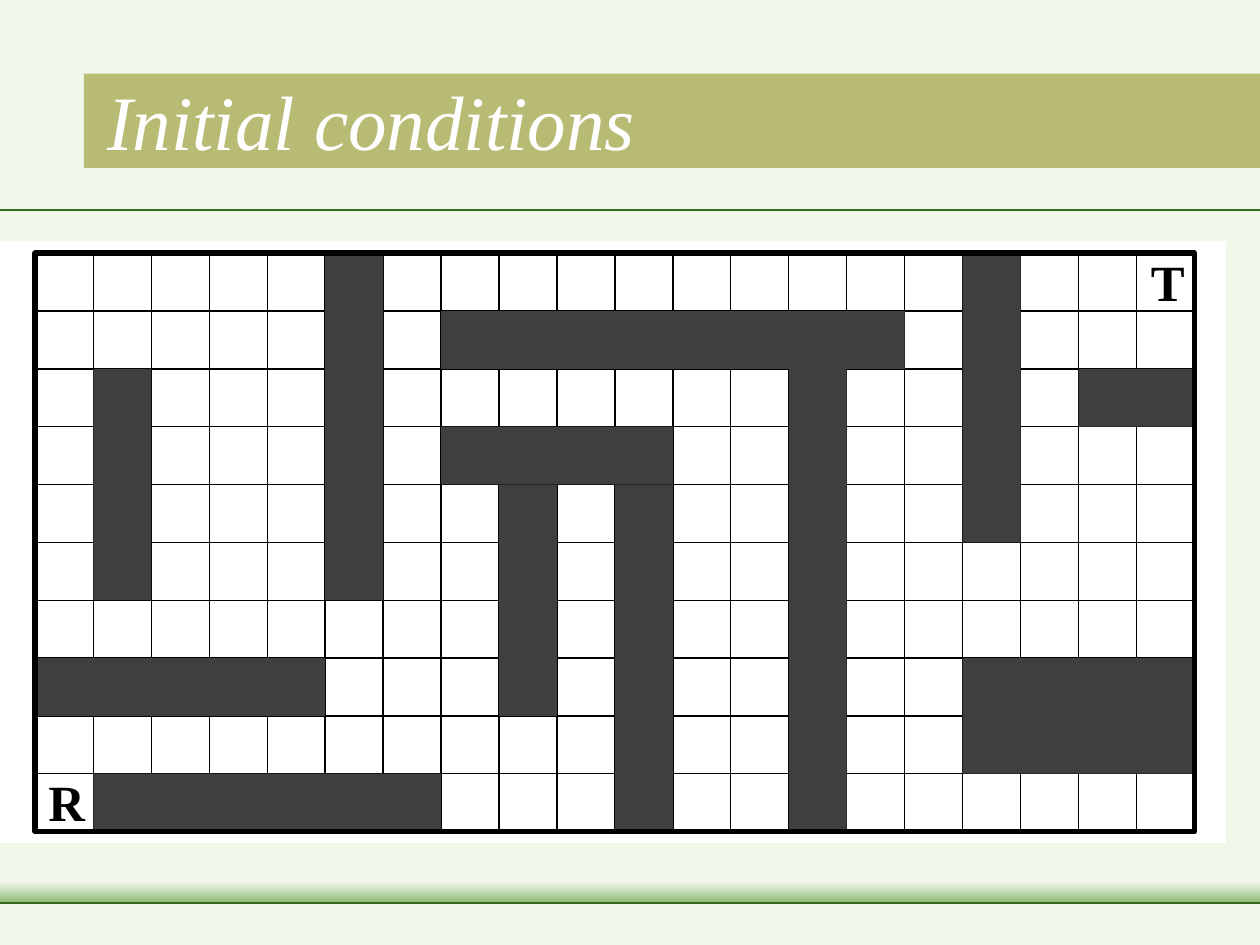
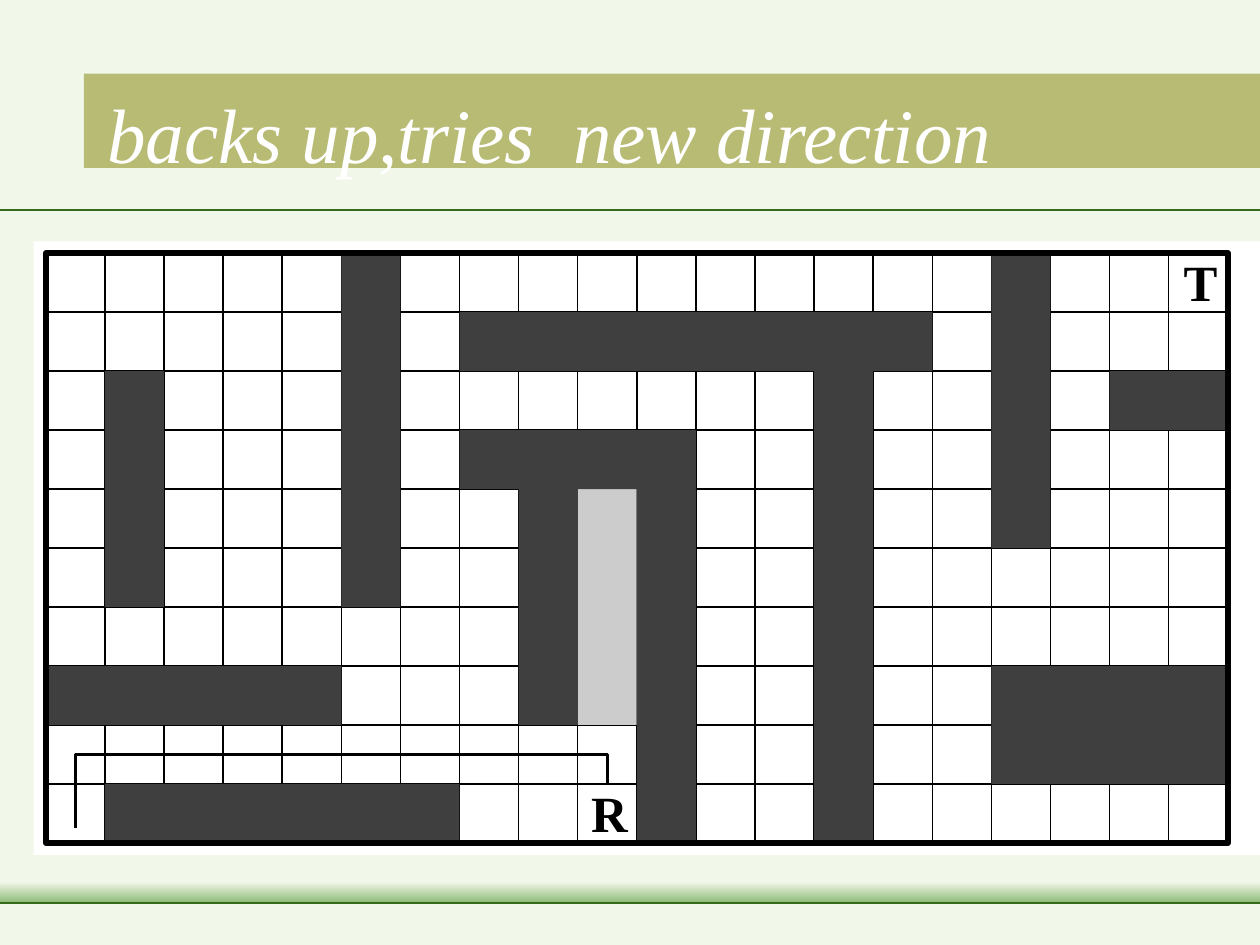
from lxml.etree import SubElement
from pptx import Presentation
from pptx.dml.color import RGBColor
from pptx.enum.shapes import MSO_CONNECTOR as Connector, MSO_SHAPE as Shape
from pptx.enum.text import MSO_ANCHOR as Anchor, MSO_AUTO_SIZE as AutoSize, PP_ALIGN as Align
from pptx.oxml.ns import qn
from pptx.util import Pt

FONT = "Times New Roman"
PAGE = "F1F7E9"
RULE = "366B1B"
GLOW = "8DBA76"
OLIVE = "808000"
WHITE = "FFFFFF"
BLACK = "000000"
WALL = "3F3F3F"
DEAD_END = "CCCCCC"

SLIDE_WIDTH = 720
COLUMNS, ROWS = 20, 10
TARGET = (19, 0)
WALLS = [
    (1, 2, 1, 4), (0, 7, 5, 1), (1, 9, 6, 1), (5, 0, 1, 6),
    (7, 3, 4, 1), (8, 4, 1, 4), (10, 4, 1, 6), (13, 2, 1, 8),
    (7, 1, 8, 1), (16, 0, 1, 5), (18, 2, 2, 1), (16, 7, 4, 2),
]


def color(hex_code):
    return RGBColor.from_string(hex_code)


def write(frame, text, size, hue, bold=False, italic=False, align=Align.LEFT,
          anchor=Anchor.MIDDLE, wrap=True, margins=(0, 0)):
    frame.auto_size = AutoSize.NONE
    frame.word_wrap = wrap
    frame.vertical_anchor = anchor
    frame.margin_left = frame.margin_right = Pt(margins[0])
    frame.margin_top = frame.margin_bottom = Pt(margins[1])
    paragraph = frame.paragraphs[0]
    paragraph.alignment = align
    run = paragraph.add_run()
    run.text = text
    run.font.name = FONT
    run.font.size = Pt(size)
    run.font.bold = bold
    run.font.italic = italic
    run.font.color.rgb = color(hue)


def draw_box(shapes, left, top, width, height, fill=None, outline=None, weight=0):
    box = shapes.add_shape(Shape.RECTANGLE, Pt(left), Pt(top), Pt(width), Pt(height))
    box.shadow.inherit = False
    if fill:
        box.fill.solid()
        box.fill.fore_color.rgb = color(fill)
    else:
        box.fill.background()
    if outline:
        box.line.color.rgb = color(outline)
        box.line.width = Pt(weight)
    else:
        box.line.fill.background()
    return box


def draw_line(shapes, x1, y1, x2, y2, hue, weight):
    line = shapes.add_connector(Connector.STRAIGHT, Pt(x1), Pt(y1), Pt(x2), Pt(y2))
    line.line.color.rgb = color(hue)
    line.line.width = Pt(weight)
    SubElement(line.element.spPr, qn("a:effectLst"))
    return line


def draw_route(shapes, points, weight):
    corners = [(Pt(x), Pt(y)) for x, y in points]
    builder = shapes.build_freeform(*corners[0])
    builder.add_line_segments(corners[1:], close=False)
    route = builder.convert_to_shape()
    route.shadow.inherit = False
    route.fill.background()
    route.line.color.rgb = color(BLACK)
    route.line.width = Pt(weight)


def decorate_layout(layout, slide):
    shapes = slide.shapes
    upper_rule = draw_line(shapes, 0, 120, SLIDE_WIDTH, 120, RULE, 1.5)
    glow = draw_box(shapes, 0, 504, SLIDE_WIDTH, 12)
    glow.fill.gradient()
    glow.fill.gradient_angle = 270
    for stop, hue in zip(glow.fill.gradient_stops, (PAGE, GLOW)):
        stop.color.rgb = color(hue)
    lower_rule = draw_line(shapes, 0, 516, SLIDE_WIDTH, 516, RULE, 1.5)
    title_band = draw_box(shapes, 48, 42, 672, 54, OLIVE)
    band_color = title_band.fill._xPr.find(qn("a:solidFill"))[0]
    SubElement(band_color, qn("a:alpha"), val="50000")
    for number, part in enumerate((upper_rule, glow, lower_rule, title_band)):
        part.element.xpath(".//p:cNvPr")[0].set("id", str(100 + number))
        layout.shapes.element.insert(2 + number, part.element)


def place_title(slide, text, top, width):
    title = slide.shapes.title
    title.left, title.top, title.width, title.height = Pt(54), Pt(top), Pt(width), Pt(76.3)
    write(title.text_frame, text, 44, WHITE, italic=True, margins=(7.2, 3.6))


def draw_maze(slide, panel, grid, robot, grid_weight, frame_weight,
              route=(), dead_end=None):
    left, top, width, height = grid
    cell_width, cell_height = width / COLUMNS, height / ROWS
    shapes = slide.shapes.add_group_shape().shapes

    def point(column, row):
        return left + column * cell_width, top + row * cell_height

    def fill_cells(column, row, across, down, hue):
        draw_box(shapes, *point(column, row), across * cell_width, down * cell_height, hue)

    def mark_cell(letter, column, row):
        x, y = point(column + 0.5, row + 0.5)
        label = shapes.add_textbox(Pt(x - 9.2), Pt(y - 18), Pt(21), Pt(34.6))
        write(label.text_frame, letter, 29, BLACK, bold=True, align=Align.CENTER,
              anchor=Anchor.TOP, wrap=False)

    draw_box(shapes, *panel, WHITE)
    for row in range(1, ROWS):
        draw_line(shapes, *point(0, row), *point(COLUMNS, row), BLACK, grid_weight)
    for column in range(1, COLUMNS):
        draw_line(shapes, *point(column, 0), *point(column, ROWS), BLACK, grid_weight)
    if dead_end:
        fill_cells(*dead_end, DEAD_END)
    for wall in WALLS:
        fill_cells(*wall, WALL)
    mark_cell("R", *robot)
    mark_cell("T", *TARGET)
    if route:
        draw_route(shapes, [point(*stop) for stop in route], 1.62)
    draw_box(shapes, *grid, outline=BLACK, weight=frame_weight)


def main():
    deck = Presentation()
    deck.slide_width, deck.slide_height = Pt(SLIDE_WIDTH), Pt(540)
    backdrop = deck.slide_master.background.fill
    backdrop.solid()
    backdrop.fore_color.rgb = color(PAGE)
    layout = deck.slide_layouts[5]

    start = deck.slides.add_slide(layout)
    decorate_layout(layout, start)
    place_title(start, "Initial conditions", 30.2, 456)
    draw_maze(start, (0, 138, 700.6, 343.7), (20.2, 144.7, 662.4, 330.5),
              robot=(0, 9), grid_weight=0.75, frame_weight=3.25)

    retreat = deck.slides.add_slide(layout)
    place_title(retreat, "backs up,tries  new direction", 37.4, 656.6)
    draw_maze(retreat, (19.2, 138, 700.8, 350.6), (26.2, 144.7, 675.4, 337),
              robot=(9, 9), grid_weight=0.88, frame_weight=3.37,
              route=[(0.5, 9.75), (0.5, 8.5), (9.5, 8.5), (9.5, 9)],
              dead_end=(9, 4, 1, 4))

    deck.save("out.pptx")


if __name__ == "__main__":
    main()
